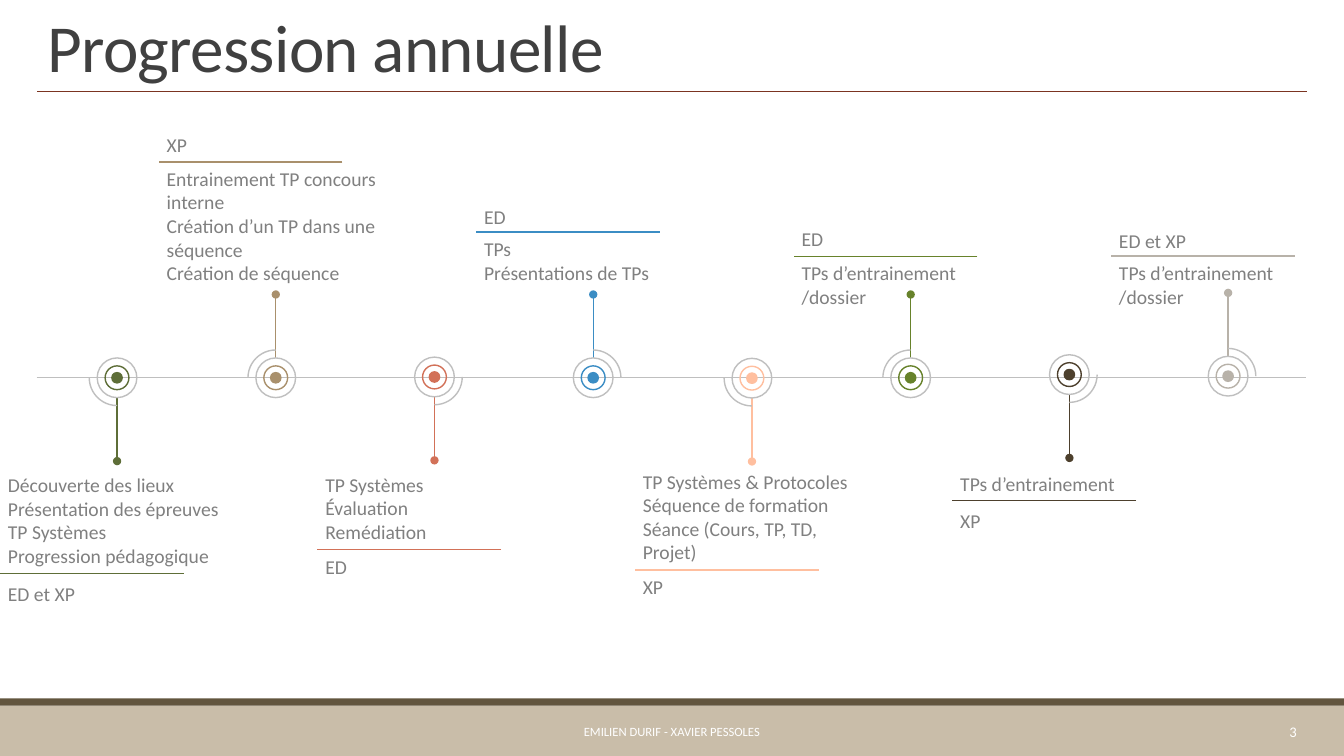
"""Build the yearly progression timeline slide."""
from dataclasses import dataclass
from typing import Any

from lxml import etree
from pptx import Presentation
from pptx.dml.color import RGBColor
from pptx.enum.shapes import MSO_CONNECTOR, MSO_SHAPE
from pptx.enum.text import MSO_ANCHOR, MSO_AUTO_SIZE, PP_ALIGN
from pptx.oxml.ns import qn
from pptx.util import Cm, Pt

STRAIGHT = MSO_CONNECTOR.STRAIGHT
ARC, OVAL, RECTANGLE = MSO_SHAPE.ARC, MSO_SHAPE.OVAL, MSO_SHAPE.RECTANGLE
TOP, MIDDLE, BOTTOM = MSO_ANCHOR.TOP, MSO_ANCHOR.MIDDLE, MSO_ANCHOR.BOTTOM
LEFT, CENTER, RIGHT = PP_ALIGN.LEFT, PP_ALIGN.CENTER, PP_ALIGN.RIGHT
FIXED = MSO_AUTO_SIZE.NONE

WHITE = RGBColor(0xFF, 0xFF, 0xFF)
CHARCOAL = RGBColor(0x40, 0x40, 0x40)
GREY = RGBColor(0x80, 0x80, 0x80)
SILVER = RGBColor(0xBF, 0xBF, 0xBF)
SAND = RGBColor(0xC9, 0xBD, 0xA9)
BROWN = RGBColor(0x62, 0x55, 0x3E)
RUST = RGBColor(0x7B, 0x34, 0x21)
MOSS = RGBColor(0x5E, 0x6E, 0x38)
TAN = RGBColor(0xA9, 0x90, 0x6C)
CORAL = RGBColor(0xD2, 0x71, 0x58)
BLUE = RGBColor(0x3B, 0x8D, 0xC4)
PEACH = RGBColor(0xFF, 0xBF, 0x9F)
GREEN = RGBColor(0x67, 0x82, 0x2B)
ESPRESSO = RGBColor(0x4D, 0x40, 0x2D)
STONE = RGBColor(0xB8, 0xB2, 0xA9)

FONT = "Calibri"
SLIDE_WIDTH, SLIDE_HEIGHT = 33.87, 19.05
AXIS_Y, FIRST_X, STEP = 9.52, 2.95, 4.0
RING, INNER_RING, DOT, ARC_SIZE = 1.0, 0.6, 0.26, 1.4
PIN_REACH, RULE_LENGTH = 2.1, 4.63
TEXT_OFFSET, TEXT_WIDTH, RULE_INDENT = -3.0, 6.0, 0.05
LINE_HEIGHT, TEXT_PADDING = 0.6, 0.25
QUARTER_TURN = 54


@dataclass(frozen=True)
class Milestone:
    """One step of the year; the quadrant counts clockwise from bottom right."""
    color: RGBColor
    quadrant: int
    activities: str
    line_count: int
    rule_y: float
    teachers: str
    teachers_y: float
    center_y: float = AXIS_Y

    @property
    def above(self) -> bool:
        """Tell whether the text stands above the axis."""
        return self.quadrant >= 2


MILESTONES = (
    Milestone(MOSS, 1, "Découverte des lieux\nPrésentation des épreuves\nTP Systèmes\n"
              "Progression pédagogique", 4, 14.45, "ED et XP", 14.53),
    Milestone(TAN, 2, "Entrainement TP concours interne\nCréation d’un TP dans une séquence\n"
              "Création de séquence", 5, 4.08, "XP", 3.23),
    Milestone(CORAL, 0, "TP Systèmes\nÉvaluation\nRemédiation", 3, 13.84, "ED", 13.87, 9.5),
    Milestone(BLUE, 3, "TPs\nPrésentations de TPs", 2, 5.85, "ED", 5.03),
    Milestone(PEACH, 1, "TP Systèmes & Protocoles\nSéquence de formation\n"
              "Séance (Cours, TP, TD, Projet)", 4, 14.36, "XP", 14.35, 9.53),
    Milestone(GREEN, 2, "TPs d’entrainement\n/dossier", 2, 6.46, "ED", 5.59),
    Milestone(ESPRESSO, 0, "TPs d’entrainement", 1, 12.61, "XP", 12.7, 9.44),
    Milestone(STONE, 3, "TPs d’entrainement\n/dossier", 2, 6.45, "ED et XP", 5.64, 9.48),
)


def apply_format(target: Any, values: dict[str, Any]) -> None:
    """Set every attribute listed in values."""
    for attribute, value in values.items():
        setattr(target, attribute, value)


def style_text(frame: Any, text: str, size: float, color: RGBColor,
               anchor: MSO_ANCHOR, align: PP_ALIGN) -> None:
    """Write text in a frame with one uniform style."""
    frame.text = text
    apply_format(frame, {"word_wrap": True, "auto_size": FIXED, "vertical_anchor": anchor})
    for paragraph in frame.paragraphs:
        paragraph.alignment = align
        for run in paragraph.runs:
            apply_format(run.font, {"name": FONT, "size": Pt(size)})
            run.font.color.rgb = color


def add_text(shapes: Any, left: float, top: float, width: float, height: float, text: str,
             size: float = 14, color: RGBColor = GREY, anchor: MSO_ANCHOR = TOP,
             align: PP_ALIGN = LEFT) -> None:
    """Add a wrapped text box."""
    box = shapes.add_textbox(Cm(left), Cm(top), Cm(width), Cm(height))
    style_text(box.text_frame, text, size, color, anchor, align)


def add_line(shapes: Any, x1: float, y1: float, x2: float, y2: float,
             color: RGBColor, width: float = 1, oval_start: bool = False) -> None:
    """Add a straight line without shadow, with an optional round start."""
    line = shapes.add_connector(STRAIGHT, Cm(x1), Cm(y1), Cm(x2), Cm(y2))
    line.line.width = Pt(width)
    line.line.color.rgb = color
    if oval_start:
        etree.SubElement(line.line._get_or_add_ln(), qn("a:headEnd"), type="oval")
    etree.SubElement(line._element.spPr, qn("a:effectLst"))


def add_round(shapes: Any, kind: MSO_SHAPE, x: float, y: float, size: float,
              color: RGBColor, filled: bool = False) -> Any:
    """Add an outlined circle or arc around a centre."""
    mark = shapes.add_shape(kind, Cm(x - size / 2), Cm(y - size / 2), Cm(size), Cm(size))
    mark.shadow.inherit = False
    mark.line.width = Pt(1)
    mark.line.color.rgb = color
    if filled:
        mark.fill.solid()
        mark.fill.fore_color.rgb = color
    else:
        mark.fill.background()
    return mark


def add_band(shapes: Any, top: float, height: float, color: RGBColor) -> None:
    """Add a full-width footer band."""
    band = shapes.add_shape(RECTANGLE, 0, Cm(top), Cm(SLIDE_WIDTH), Cm(height))
    band.shadow.inherit = False
    band.fill.solid()
    band.fill.fore_color.rgb = color
    band.line.fill.background()


def add_marker(shapes: Any, step: Milestone, x: float) -> None:
    """Add the pin, rings, dot and quarter arc of a milestone."""
    y = step.center_y
    side = -1 if step.above else 1
    add_line(shapes, x, y + side * PIN_REACH, x, y + side * RING / 2, step.color, oval_start=True)
    add_round(shapes, OVAL, x, y, RING, SILVER)
    add_round(shapes, OVAL, x, y, INNER_RING, step.color)
    add_round(shapes, OVAL, x, y, DOT, step.color, filled=True)
    arc = add_round(shapes, ARC, x, y, ARC_SIZE, SILVER)
    arc.adjustments[0] = step.quadrant * QUARTER_TURN
    arc.adjustments[1] = (step.quadrant + 1) % 4 * QUARTER_TURN


def add_description(shapes: Any, step: Milestone, x: float) -> None:
    """Add the activities, rule and teachers of a milestone."""
    left = x + TEXT_OFFSET
    height = step.line_count * LINE_HEIGHT + TEXT_PADDING
    top = step.rule_y if step.above else step.rule_y - height
    rule_left = left + RULE_INDENT
    add_line(shapes, rule_left + RULE_LENGTH, step.rule_y, rule_left, step.rule_y, step.color)
    add_text(shapes, left, top, TEXT_WIDTH, height, step.activities)
    add_text(shapes, left, step.teachers_y, TEXT_WIDTH, LINE_HEIGHT + TEXT_PADDING, step.teachers)


def main() -> None:
    """Build and save the slide."""
    deck = Presentation()
    apply_format(deck, {"slide_width": Cm(SLIDE_WIDTH), "slide_height": Cm(SLIDE_HEIGHT)})
    slide = deck.slides.add_slide(deck.slide_layouts[5])
    shapes = slide.shapes

    add_band(shapes, 17.78, 1.27, SAND)
    add_band(shapes, 17.6, 0.18, BROWN)
    add_line(shapes, 0.94, 2.31, 32.94, 2.31, RUST, 0.5)

    title = shapes.title
    apply_format(title, {"left": Cm(0.94), "top": Cm(0.1), "width": Cm(32), "height": Cm(2.21)})
    style_text(title.text_frame, "Progression annuelle", 48, CHARCOAL, BOTTOM, LEFT)
    heading = title.text_frame.paragraphs[0]
    heading.line_spacing = 0.85
    heading.runs[0]._r.get_or_add_rPr().set("spc", "-50")

    add_text(shapes, 6.93, 17.93, 20, 1.02, "EMILIEN DURIF - XAVIER PESSOLES",
             9, WHITE, MIDDLE, CENTER)
    add_text(shapes, 28.93, 17.93, 4, 1.02, "3", 10.5, WHITE, MIDDLE, RIGHT)

    add_line(shapes, 0.92, AXIS_Y, 32.92, AXIS_Y, SILVER)
    for index, step in enumerate(MILESTONES):
        x = FIRST_X + index * STEP
        add_marker(shapes.add_group_shape().shapes, step, x)
        add_description(shapes.add_group_shape().shapes, step, x)

    deck.save("out.pptx")


main()
